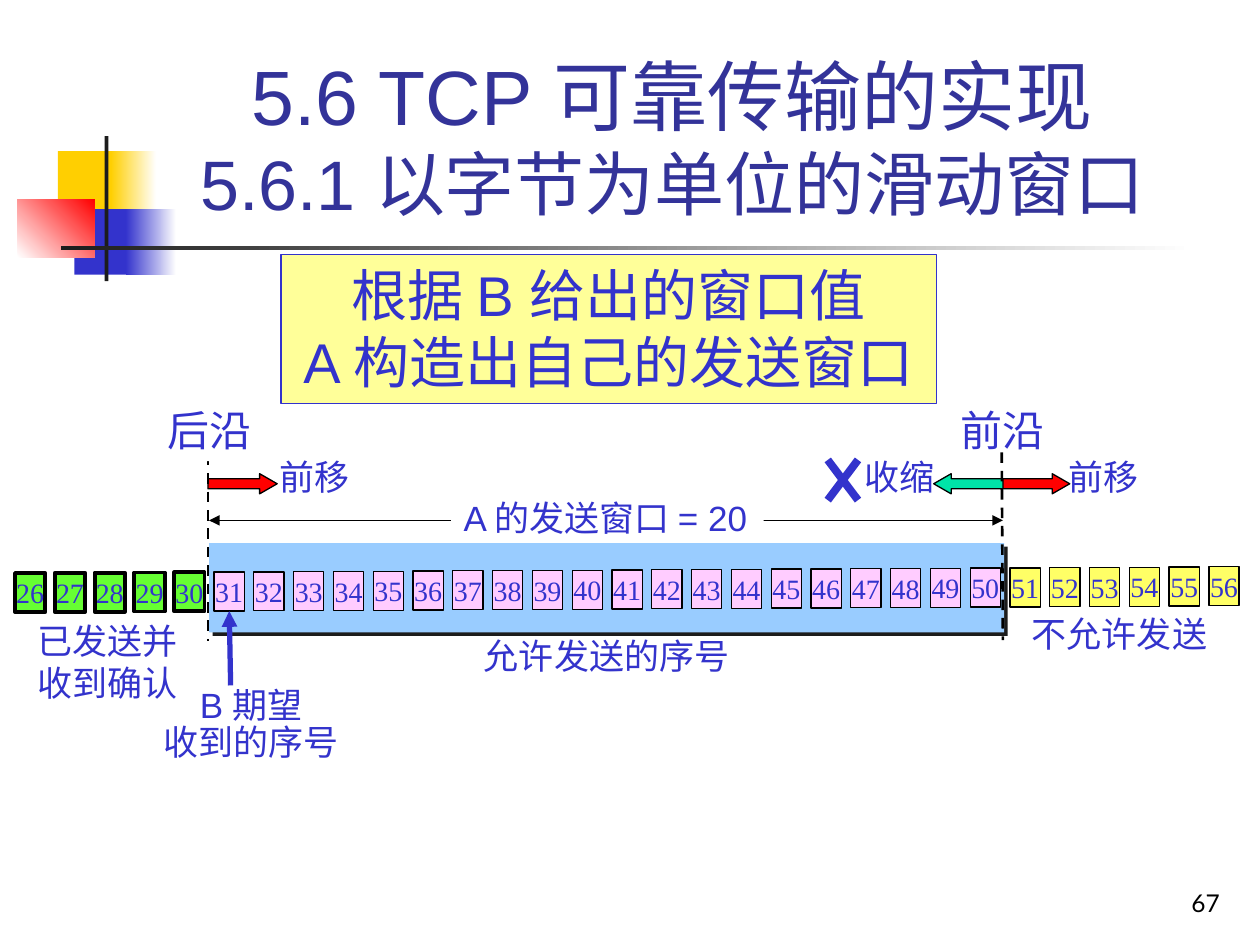
from lxml.etree import SubElement
from pptx import Presentation
from pptx.dml.color import RGBColor
from pptx.enum.dml import MSO_LINE as DASH
from pptx.enum.shapes import MSO_CONNECTOR as CONNECTOR, MSO_SHAPE as SHAPE
from pptx.enum.text import MSO_ANCHOR as ANCHOR, PP_ALIGN as ALIGN
from pptx.oxml.ns import qn
from pptx.util import Pt

BLACK, WHITE, INK, BLUE = "000000", "FFFFFF", "1C1C1C", "3333CC"
YELLOW, RED = "FFCF01", "FF0000"
SERIF, SANS = "Times New Roman", "Arial"
FIRST_BYTE, LAST_BYTE = 26, 56
CELL_LEFT, CELL_TOP, CELL_PITCH, CELL_RISE = 8.64, 327.5, 22.74, 0.12


def color(value):
    return RGBColor.from_string(value)


def add_box(s, x, y, w, h, fill, line=None, width=0.75, shape=SHAPE.RECTANGLE):
    sp = s.shapes.add_shape(shape, Pt(x), Pt(y), Pt(w), Pt(h))
    sp.shadow.inherit = False
    sp.fill.solid()
    sp.fill.fore_color.rgb = color(fill)
    if line:
        sp.line.color.rgb = color(line)
        sp.line.width = Pt(width)
    else:
        sp.line.fill.background()
    return sp


def add_gradient(s, x, y, w, h, start, end, angle=0):
    sp = add_box(s, x, y, w, h, start)
    sp.fill.gradient()
    sp.fill.gradient_angle = angle
    for stop, value in zip(sp.fill.gradient_stops, (start, end)):
        stop.color.rgb = color(value)


def write(sp, lines, size, font=SERIF, ink=BLUE, align=ALIGN.CENTER,
          anchor=ANCHOR.TOP, wrap=False, spacing=None):
    tf = sp.text_frame
    tf.word_wrap = wrap
    tf.vertical_anchor = anchor
    tf.text = "\n".join(lines)
    for p in tf.paragraphs:
        p.alignment = align
        p.line_spacing = spacing
        p.font.size = Pt(size)
        p.font.name = font
        p.font.color.rgb = color(ink)
    return tf


def add_label(s, x, y, w, h, lines, size=20, fill=None, **style):
    if fill:
        sp = add_box(s, x, y, w, h, fill)
    else:
        sp = s.shapes.add_textbox(Pt(x), Pt(y), Pt(w), Pt(h))
    return write(sp, lines, size, **style)


def add_line(s, x1, y1, x2, y2, ink=BLACK, width=0.75, dash=None, ends=()):
    cx = s.shapes.add_connector(CONNECTOR.STRAIGHT, Pt(x1), Pt(y1), Pt(x2), Pt(y2))
    cx.line.color.rgb = color(ink)
    cx.line.width = Pt(width)
    if dash:
        cx.line.dash_style = dash
    ln = cx.line._get_or_add_ln()
    for end in ends:
        SubElement(ln, qn(f"a:{end}"), type="triangle")
    SubElement(cx._element.spPr, qn("a:effectLst"))
    return cx


def add_block_arrow(s, x, fill, shape=SHAPE.RIGHT_ARROW):
    sp = add_box(s, x, 270.7, 39.6, 11.5, fill, BLACK, shape=shape)
    sp.adjustments[0], sp.adjustments[1] = 0.5, 0.871


def add_window(s):
    sp = add_box(s, 119.5, 310.3, 454.3, 51.1, "99CCFF")
    effects = sp._element.spPr.find(qn("a:effectLst"))
    shadow = SubElement(effects, qn("a:outerShdw"), dist=str(Pt(2.8)),
                        dir="2700000", algn="ctr", rotWithShape="0")
    SubElement(shadow, qn("a:srgbClr"), val=INK)


def add_byte(s, number):
    if number <= 30:
        fill, width = "66FF33", 2.25
    elif number <= 50:
        fill, width = "FFCCFF", 0.75
    else:
        fill, width = "FFFF66", 0.75
    i = number - FIRST_BYTE
    sp = add_box(s, CELL_LEFT + i * CELL_PITCH, CELL_TOP - i * CELL_RISE,
                 17.3, 22.3, fill, BLACK, width)
    write(sp, [str(number)], 16, anchor=ANCHOR.MIDDLE)
    return sp


def add_decoration(s):
    add_box(s, 33.1, 86.4, 34.6, 37.4, YELLOW)
    add_gradient(s, 63.4, 86.4, 25.9, 37.4, YELLOW, WHITE)
    add_box(s, 42.5, 119.5, 33.1, 37.4, BLUE)
    add_gradient(s, 72, 119.5, 28.8, 37.4, BLUE, WHITE)
    add_gradient(s, 10.1, 113.8, 43.9, 33.1, WHITE, RED, 45)
    add_box(s, 59.8, 77.8, 2.2, 82.8, INK)
    add_gradient(s, 34.6, 140.4, 648, 2.5, INK, WHITE)


def add_titles(s):
    add_label(s, 554.4, 491.8, 149.8, 36, ["67"], 14, font="Lato", ink=BLACK,
              align=ALIGN.RIGHT, anchor=ANCHOR.BOTTOM, wrap=True)
    title = add_label(s, 90.7, 16.6, 586.8, 115.2,
                      ["5.6 TCP 可靠传输的实现", "5.6.1 以字节为单位的滑动窗口"],
                      44, font=SANS, ink="333399", anchor=ANCHOR.BOTTOM, wrap=True)
    title.paragraphs[1].font.size = Pt(40)


def add_sequence(s):
    add_label(s, 603.4, 257, 54.7, 31, ["前移"], fill=WHITE)
    add_block_arrow(s, 571.7, RED)
    add_block_arrow(s, 533.5, "00E4A8", SHAPE.LEFT_ARROW)
    add_block_arrow(s, 118.8, RED)
    add_label(s, 582.5, 346.3, 114.5, 31, ["不允许发送"], fill=WHITE)
    add_label(s, 14.4, 350.6, 94.3, 55.4, ["已发送并", "收到确认"], fill=WHITE)
    add_line(s, 119.5, 297.4, 573.1, 297.4, ends=("headEnd", "tailEnd"))
    add_label(s, 257.8, 280.1, 178.6, 31, ["A 的发送窗口 = 20"], fill=WHITE,
              font=SANS, align=ALIGN.LEFT)
    add_label(s, 269.3, 359.3, 154.8, 31, ["允许发送的序号"], fill=WHITE)
    add_window(s)
    cells = {n: add_byte(s, n) for n in range(FIRST_BYTE, LAST_BYTE + 1)}
    pointer = add_line(s, 131.8, 391.7, 131, 351.4, BLUE, 3, ends=("tailEnd",))
    pointer.end_connect(cells[31], 2)
    add_label(s, 86.4, 389.5, 114.5, 50.4, ["B 期望", "收到的序号"],
              font=SANS, spacing=0.9)


def add_edges(s):
    add_line(s, 118.8, 259.9, 118.8, 366.5, width=1.5, dash=DASH.DASH)
    for x, text in ((541.4, "前沿"), (88.6, "后沿")):
        add_label(s, x, 227.5, 62.6, 36, [text], 24, fill=WHITE)
    add_line(s, 572.4, 258.5, 573.1, 365.8, width=1.5, dash=DASH.DASH)
    for x, text in ((152.6, "前移"), (486.7, "收缩")):
        add_label(s, x, 257, 54.7, 31, [text])
    for x1, x2 in ((490.3, 473), (473, 490.3)):
        add_line(s, x1, 262.8, x2, 285.8, BLUE, 4.5)


def add_statement(s):
    sp = add_box(s, 160.6, 145.4, 374.4, 85, "FFFF99", BLUE)
    write(sp, ["根据 B 给出的窗口值", "A 构造出自己的发送窗口"], 32, SANS)


def main():
    prs = Presentation()
    prs.slide_width, prs.slide_height = Pt(720), Pt(540)
    s = prs.slides.add_slide(prs.slide_layouts[6])
    add_decoration(s)
    add_titles(s)
    add_sequence(s)
    add_edges(s)
    add_statement(s)
    prs.save("out.pptx")


if __name__ == "__main__":
    main()
